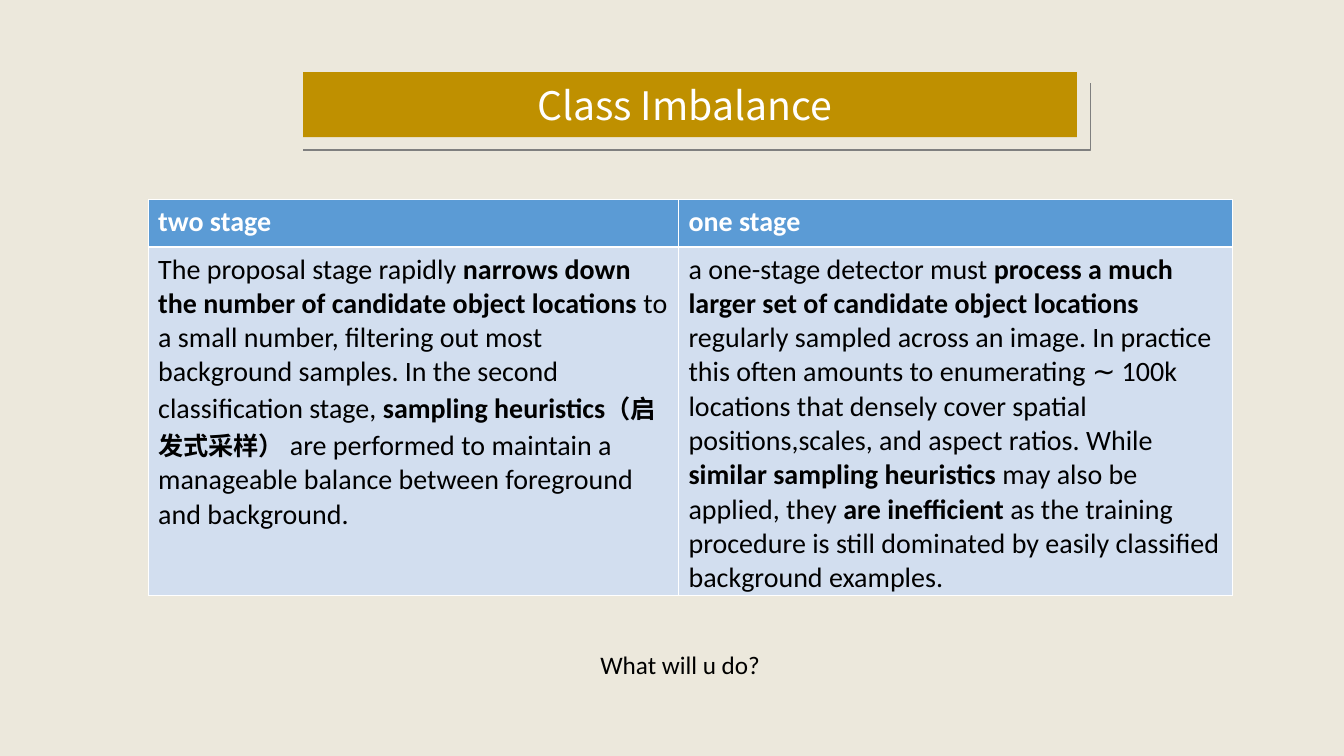
"""Build the Class Imbalance slide comparing two-stage and one-stage detectors."""
from lxml import etree
from pptx import Presentation
from pptx.dml.color import RGBColor
from pptx.enum.text import MSO_ANCHOR, MSO_AUTO_SIZE, PP_ALIGN
from pptx.oxml.ns import qn
from pptx.util import Pt

PX = 9080
LEFT = PP_ALIGN.LEFT
MIDDLE = MSO_ANCHOR.MIDDLE
NO_AUTOFIT = MSO_AUTO_SIZE.NONE
TITLE_ONLY = 5

SAND = RGBColor(0xEC, 0xE8, 0xDC)
GOLD = RGBColor(0xBF, 0x90, 0x00)
GREY = RGBColor(0x7F, 0x7F, 0x7F)
BLUE = RGBColor(0x5B, 0x9B, 0xD5)
PALE_BLUE = RGBColor(0xD2, 0xDE, 0xEF)
WHITE = RGBColor(0xFF, 0xFF, 0xFF)
BLACK = RGBColor(0x00, 0x00, 0x00)

BODY_FONT = "Calibri"
CJK_FONT = "Noto Sans CJK SC"
HAIRLINE, HEADER_RULE = 0.45, 1.47

COLUMN_WIDTHS = (530, 553)
ROW_HEIGHTS = (48, 346)
HEADERS = ("two stage", "one stage")
TWO_STAGE = (
    ("The proposal stage rapidly ", False, 20),
    ("narrows down the number of candidate object locations", True, 20),
    (" to a small number, filtering out most background samples. "
     "In the second classification stage, ", False, 20),
    ("sampling heuristics", True, 20),
    ("（启发式采样） ", True, 18),
    ("are performed to maintain a manageable balance between "
     "foreground and background.", False, 20),
)
ONE_STAGE = (
    ("a one-stage detector must ", False, 20),
    ("process a much larger set of candidate object locations", True, 20),
    (" regularly sampled across an image. In practice this often amounts to "
     "enumerating ∼ 100k locations that densely cover spatial "
     "positions,scales, and aspect ratios. While", False, 20),
    (" similar sampling heuristics ", True, 20),
    ("may also be applied, they ", False, 20),
    ("are inefficient", True, 20),
    (" as the training procedure is still dominated by easily classified "
     "background examples.", False, 20),
)


def px(*lengths):
    """Turn pixel lengths into EMU."""
    return [length * PX for length in lengths]


def style_span(span, size, color, bold=False, font=BODY_FONT):
    """Format one run, with the CJK font for East Asian letters."""
    span.font.name = font
    span.font.size = Pt(size)
    span.font.bold = bold
    span.font.color.rgb = color
    latin = span.font._element.find(qn("a:latin"))
    east_asian = etree.Element(qn("a:ea"), typeface=CJK_FONT)
    latin.addnext(east_asian)


def add_title(page, text):
    """Turn the title placeholder into the gold bar."""
    title = page.shapes.title
    title.left, title.top, title.width, title.height = px(303, 72, 773, 65)
    title.fill.solid()
    title.fill.fore_color.rgb = GOLD
    frame = title.text_frame
    frame.text = text
    frame.auto_size = NO_AUTOFIT
    frame.vertical_anchor = MIDDLE
    frame.margin_left, = px(234)
    para = frame.paragraphs[0]
    para.alignment = LEFT
    style_span(para.runs[0], 28, WHITE, font=CJK_FONT)


def add_corner_line(page):
    """Draw the thin line below and right of the title bar."""
    builder = page.shapes.build_freeform(303, 150, scale=PX)
    builder.add_line_segments([(1090, 150), (1090, 83)], close=False)
    corner = builder.convert_to_shape()
    corner.shadow.inherit = False
    corner.fill.background()
    corner.line.color.rgb = GREY
    corner.line.width = Pt(1)


def add_borders(cell, top, bottom):
    """Give a cell white borders, placed ahead of its fill."""
    properties = cell._tc.get_or_add_tcPr()
    sides = (("lnL", HAIRLINE), ("lnR", HAIRLINE), ("lnT", top), ("lnB", bottom))
    for index, (side, width) in enumerate(sides):
        border = etree.Element(qn(f"a:{side}"), w=str(int(Pt(width))))
        fill = etree.SubElement(border, qn("a:solidFill"))
        etree.SubElement(fill, qn("a:srgbClr"), val=str(WHITE))
        properties.insert(index, border)


def fill_cell(cell, spans, text_color, fill_color):
    """Write styled spans into a cell and colour it."""
    cell.margin_bottom = 0
    cell.fill.solid()
    cell.fill.fore_color.rgb = fill_color
    para = cell.text_frame.paragraphs[0]
    for text, bold, size in spans:
        span = para.add_run()
        span.text = text
        style_span(span, size, text_color, bold)


def add_comparison(page):
    """Add the two-column comparison table."""
    table = page.shapes.add_table(
        len(ROW_HEIGHTS), len(COLUMN_WIDTHS),
        *px(148, 199, sum(COLUMN_WIDTHS), sum(ROW_HEIGHTS))).table
    for column, width in zip(table.columns, px(*COLUMN_WIDTHS)):
        column.width = width
    for row, height in zip(table.rows, px(*ROW_HEIGHTS)):
        row.height = height
    for index, (header, body) in enumerate(zip(HEADERS, (TWO_STAGE, ONE_STAGE))):
        head_cell, body_cell = table.cell(0, index), table.cell(1, index)
        fill_cell(head_cell, [(header, True, 20)], WHITE, BLUE)
        fill_cell(body_cell, body, BLACK, PALE_BLUE)
        add_borders(head_cell, HAIRLINE, HEADER_RULE)
        add_borders(body_cell, HEADER_RULE, HAIRLINE)


def add_question(page, text):
    """Add the closing question under the table."""
    box = page.shapes.add_textbox(*px(590, 643, 212, 40))
    box.text_frame.word_wrap = True
    box.text_frame.text = text
    style_span(box.text_frame.paragraphs[0].runs[0], 18, BLACK)


def main():
    """Assemble and save the deck."""
    deck = Presentation()
    deck.slide_width, deck.slide_height = px(1343, 755)
    page = deck.slides.add_slide(deck.slide_layouts[TITLE_ONLY])
    page.background.fill.solid()
    page.background.fill.fore_color.rgb = SAND
    add_title(page, "Class Imbalance")
    add_corner_line(page)
    add_comparison(page)
    add_question(page, "What will u do?")
    deck.save("out.pptx")


if __name__ == "__main__":
    main()
